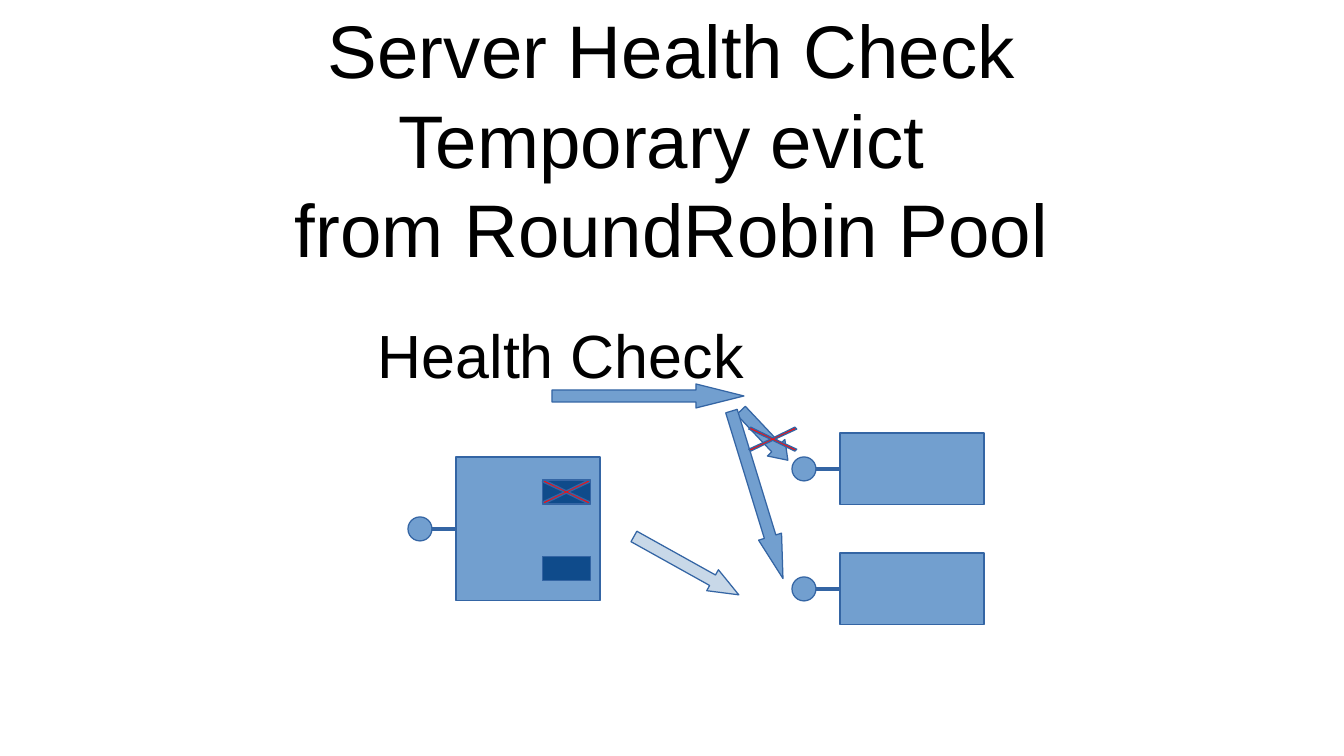
"""Build the server health check slide."""
import dataclasses

import pptx
import pptx.dml.color
import pptx.enum.shapes
import pptx.enum.text
import pptx.oxml
import pptx.oxml.ns
import pptx.util

SHAPE = pptx.enum.shapes.MSO_SHAPE
ALIGN = pptx.enum.text.PP_ALIGN
ANCHOR = pptx.enum.text.MSO_ANCHOR


@dataclasses.dataclass(frozen=True)
class Theme:
    """Colours, type and grid of the slide."""
    font: str = "Arial"
    title_size: int = 44
    label_size: int = 36
    text: str = "000000"
    node: str = "729FCF"
    pool_entry: str = "0F4B8B"
    request: str = "C8D8E8"
    cross: str = "FF0A0A"
    outline: str = "3465A4"
    cell_cm: float = 0.5
    columns: float = 56
    rows: float = 31.5


def colour(value):
    """Turn a hex value into a colour."""
    return pptx.dml.color.RGBColor.from_string(value)


def apply(target, values):
    """Set attributes from a dict of format values."""
    for name, value in values.items():
        setattr(target, name, value)


class Diagram:
    """Draw styled elements on one slide, measured in grid cells."""

    def __init__(self, presentation, theme):
        """Size the presentation and add a blank slide."""
        self.theme = theme
        presentation.slide_width = self.cells(theme.columns)
        presentation.slide_height = self.cells(theme.rows)
        self.slide = presentation.slides.add_slide(presentation.slide_layouts[6])

    def cells(self, count):
        """Turn grid cells into a length."""
        return pptx.util.Cm(count * self.theme.cell_cm)

    def style(self, shape, fill):
        """Give a shape its fill and hairline outline."""
        shape.shadow.inherit = False
        shape.fill.solid()
        shape.fill.fore_color.rgb = colour(fill)
        self.outline(shape.line)
        return shape

    def outline(self, line):
        """Give a line the outline colour and hairline width."""
        line.color.rgb = colour(self.theme.outline)
        line.width = pptx.util.Pt(0)

    def shape(self, kind, column, row, width, height, fill):
        """Add a preset shape."""
        box = map(self.cells, (column, row, width, height))
        return self.style(self.slide.shapes.add_shape(kind, *box), fill)

    def text(self, text, box, size, frame_format, paragraph_format):
        """Add a text box that grows with its text."""
        shape = self.slide.shapes.add_textbox(*map(self.cells, box))
        frame = shape.text_frame
        apply(frame, {"auto_size": pptx.enum.text.MSO_AUTO_SIZE.SHAPE_TO_FIT_TEXT, **frame_format})
        paragraph = frame.paragraphs[0]
        paragraph.text = text
        apply(paragraph, paragraph_format)
        for run in paragraph.runs:
            apply(run.font, {"name": self.theme.font, "size": pptx.util.Pt(size)})
            run.font.color.rgb = colour(self.theme.text)

    def node(self, column, row, width, height):
        """Add a box with a round port joined to its left side."""
        middle = row + height / 2
        box = self.shape(SHAPE.RECTANGLE, column, row, width, height, self.theme.node)
        self.shape(SHAPE.OVAL, column - 2, middle - 0.5, 1, 1, self.theme.node)
        ends = map(self.cells, (column - 1, middle, column, middle))
        connector = self.slide.shapes.add_connector(pptx.enum.shapes.MSO_CONNECTOR.STRAIGHT, *ends)
        connector.end_connect(box, 1)
        self.outline(connector.line)
        properties = connector._element.spPr
        properties.append(pptx.oxml.parse_xml(f"<a:effectLst {pptx.oxml.ns.nsdecls('a')}/>"))

    def arrow(self, column, row, length, rotation, fill):
        """Add a block arrow around its centre, its head a quarter of its length."""
        arrow = self.shape(SHAPE.RIGHT_ARROW, column - length / 2, row - 0.5, length, 1, fill)
        arrow.rotation = rotation
        arrow.adjustments[1] = length / 4

    def cross(self, column, row):
        """Add a thin cross that fills two columns by one row."""
        points = [(0.08, 0), (1, 0.45), (1.92, 0), (2, 0.08), (1.1, 0.5), (2, 0.92),
                  (1.92, 1), (1, 0.55), (0.08, 1), (0, 0.92), (0.9, 0.5), (0, 0.08)]
        outline = [(self.cells(column + x), self.cells(row + y)) for x, y in points]
        builder = self.slide.shapes.build_freeform(*outline[0])
        builder.add_line_segments(outline[1:], close=True)
        self.style(builder.convert_to_shape(), self.theme.cross)


def main():
    """Draw the slide and save it."""
    theme = Theme()
    presentation = pptx.Presentation()
    diagram = Diagram(presentation, theme)

    margins = dict.fromkeys(("margin_left", "margin_top", "margin_right", "margin_bottom"), 0)
    diagram.text("Server Health Check\vTemporary evict \vfrom RoundRobin Pool",
                 (2.8, 0.56, 50.4, 10.4), theme.title_size,
                 {"word_wrap": True, "vertical_anchor": ANCHOR.MIDDLE, **margins},
                 {"alignment": ALIGN.CENTER})

    for node in [(19, 19.04, 6, 6), (35, 18.04, 6, 3), (35, 23.04, 6, 3)]:
        diagram.node(*node)

    for arrow in [(28.6, 23.57, 5, 29.1, theme.request), (27, 16.5, 8, 0, theme.node),
                  (31.85, 18.14, 2.85, 46.7, theme.node), (31.55, 20.62, 7.3, 72.9, theme.node)]:
        diagram.arrow(*arrow)

    diagram.text("Health Check", (15.24, 13, 16.25, 3.35), theme.label_size,
                 {"word_wrap": False}, {"alignment": ALIGN.LEFT})

    for row in (20, 23.2):
        diagram.shape(SHAPE.RECTANGLE, 22.6, row, 2, 1, theme.pool_entry)
    for place in [(31.2, 17.8), (22.6, 20)]:
        diagram.cross(*place)

    presentation.save("out.pptx")


if __name__ == "__main__":
    main()
